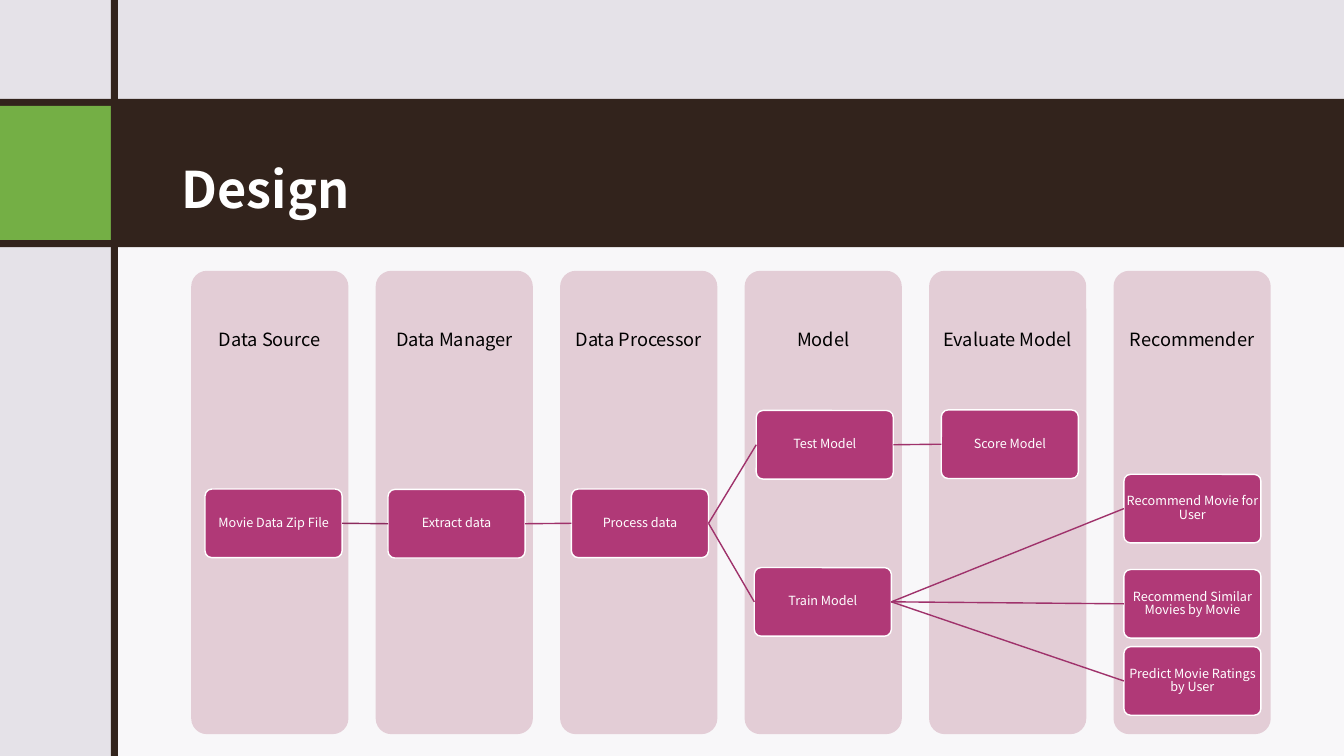
import pptx
import pptx.util
import pptx.dml.color
import pptx.enum.shapes
import pptx.enum.text
import pptx.oxml
import pptx.oxml.ns
import lxml.etree

Pt = pptx.util.Pt
MSO_SHAPE = pptx.enum.shapes.MSO_SHAPE
ALIGN = pptx.enum.text.PP_ALIGN
MIDDLE = pptx.enum.text.MSO_ANCHOR.MIDDLE
FONT = "Noto Sans CJK JP"
COLOURS = {
    "backdrop": "E5E2E8", "white": "FFFFFF", "black": "000000",
    "brown": "32231C", "green": "74AF45", "lane": "E3CDD6",
    "card": "B03977", "link": "9F326B", "first link": "8C2B5E",
}


def add_block(kind, left, top, width, height, colour):
    block = page.shapes.add_shape(kind, Pt(left), Pt(top), Pt(width), Pt(height))
    block.shadow.inherit = False
    block.fill.solid()
    block.fill.fore_color.rgb = pptx.dml.color.RGBColor.from_string(COLOURS[colour])
    block.line.fill.background()
    if kind == MSO_SHAPE.ROUNDED_RECTANGLE:
        block.adjustments[0] = 0.1
    return block


def set_text(box, text, size, colour, align, spacing, margins):
    frame = box.text_frame
    frame.text = text
    frame.word_wrap = True
    frame.vertical_anchor = MIDDLE
    (frame.margin_left, frame.margin_top,
     frame.margin_right, frame.margin_bottom) = [Pt(margin) for margin in margins]
    para = frame.paragraphs[0]
    para.alignment = align
    para.line_spacing = spacing
    span = para.runs[0]
    span.font.size = Pt(size)
    span.font.name = FONT
    span.font.color.rgb = pptx.dml.color.RGBColor.from_string(COLOURS[colour])
    return span


deck = pptx.Presentation()
deck.slide_width, deck.slide_height = Pt(960), Pt(540)
page = deck.slides.add_slide(deck.slide_layouts[5])
page.background.fill.solid()
page.background.fill.fore_color.rgb = pptx.dml.color.RGBColor.from_string(
    COLOURS["backdrop"])

# Frame: translucent panel, title band, green square, vertical bar
panel = add_block(MSO_SHAPE.RECTANGLE, 82, 167.8, 878, 372.2, "white")
panel_colour = panel.fill._xPr.find(".//" + pptx.oxml.ns.qn("a:srgbClr"))
lxml.etree.SubElement(panel_colour, pptx.oxml.ns.qn("a:alpha"), val="75000")
add_block(MSO_SHAPE.RECTANGLE, 0, 70.6, 960, 106, "brown")
add_block(MSO_SHAPE.RECTANGLE, 0, 75.6, 79.2, 95.8, "green")
add_block(MSO_SHAPE.RECTANGLE, 79.2, 0, 5, 540, "brown")

# Title, raised above the band
title = page.shapes.title
title.left, title.top, title.width, title.height = Pt(121), Pt(82), Pt(788.4), Pt(81.4)
span = set_text(title, "Design", 36, "white", ALIGN.LEFT, 1.5, (8.64, 8.64, 8.64, 7.2))
span.font.bold = True
page.shapes._spTree.append(title._element)

# Lanes, with the heading in the top part
lanes = ["Data Source", "Data Manager", "Data Processor", "Model",
         "Evaluate Model", "Recommender"]
for index, heading in enumerate(lanes):
    lane = add_block(MSO_SHAPE.ROUNDED_RECTANGLE, 136.6 + 131.76 * index, 193.4,
                     112.3, 331, "lane")
    set_text(lane, heading, 13, "black", ALIGN.CENTER, 0.9, (2, 5, 2, 235.6))

# Cards: text, left, top
cards = {}
for text, left, top in [
    ("Movie Data Zip File", 146.5, 349.3),
    ("Extract data", 277.2, 349.6),
    ("Process data", 408.2, 349.3),
    ("Test Model", 540.2, 293.2),
    ("Score Model", 672.4, 292.8),
    ("Train Model", 538.8, 405.4),
    ("Recommend Movie for User", 802.8, 338.8),
    ("Recommend Similar Movies by Movie", 802.8, 406.8),
    ("Predict Movie Ratings by User", 802.8, 461.9),
]:
    card = add_block(MSO_SHAPE.ROUNDED_RECTANGLE, left, top, 97.9, 49, "card")
    card.line.color.rgb = pptx.dml.color.RGBColor.from_string(COLOURS["white"])
    card.line.width = Pt(1)
    set_text(card, text, 9, "white", ALIGN.CENTER, 0.9, (0, 0.7, 0, 0.7))
    cards[text] = card

# Links from right side to left side
for start, end in [
    ("Movie Data Zip File", "Extract data"),
    ("Extract data", "Process data"),
    ("Process data", "Test Model"),
    ("Test Model", "Score Model"),
    ("Process data", "Train Model"),
    ("Train Model", "Recommend Movie for User"),
    ("Train Model", "Recommend Similar Movies by Movie"),
    ("Train Model", "Predict Movie Ratings by User"),
]:
    link = page.shapes.add_connector(
        pptx.enum.shapes.MSO_CONNECTOR.STRAIGHT, 0, 0, 0, 0)
    link.begin_connect(cards[start], 3)
    link.end_connect(cards[end], 1)
    colour = "first link" if start == "Movie Data Zip File" else "link"
    link.line.color.rgb = pptx.dml.color.RGBColor.from_string(COLOURS[colour])
    link.line.width = Pt(1)
    lxml.etree.SubElement(link._element.spPr, pptx.oxml.ns.qn("a:effectLst"))

deck.save("out.pptx")
